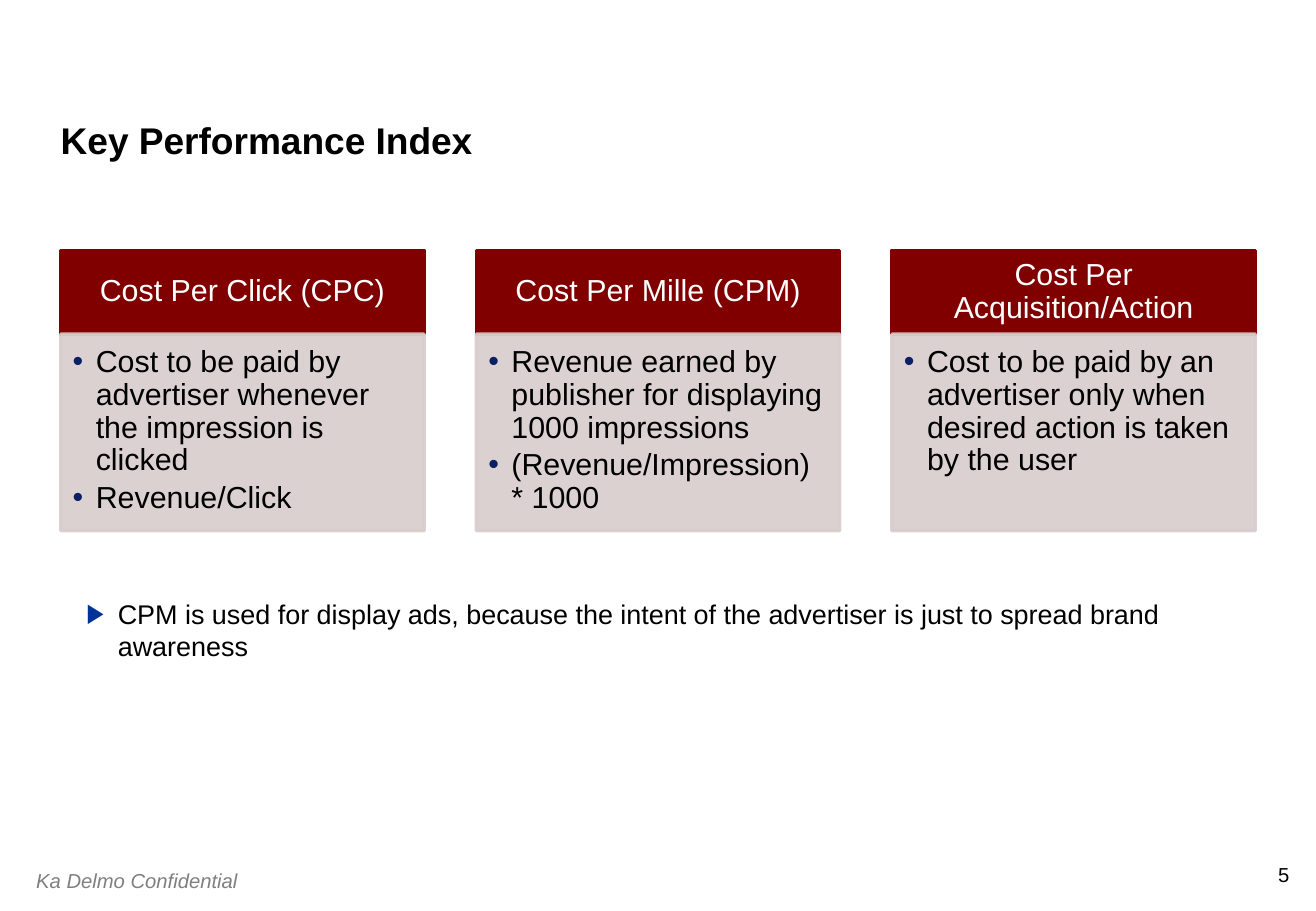
"""Build the Key Performance Index slide."""
from lxml import etree
from pptx import Presentation
from pptx.dml.color import RGBColor
from pptx.enum.shapes import MSO_SHAPE
from pptx.enum.text import MSO_ANCHOR, PP_ALIGN
from pptx.oxml.ns import qn
from pptx.util import Inches, Pt

RECT = MSO_SHAPE.RECTANGLE
TOP, MIDDLE, BOTTOM = MSO_ANCHOR.TOP, MSO_ANCHOR.MIDDLE, MSO_ANCHOR.BOTTOM
LEFT, CENTER, RIGHT = PP_ALIGN.LEFT, PP_ALIGN.CENTER, PP_ALIGN.RIGHT

MAROON, ROSE, NAVY, BLUE = "800000", "D8CCCC", "0B1F65", "003399"
BLACK, WHITE, GRAY = "000000", "FFFFFF", "808080"

CARDS = [
    ("Cost Per Click (CPC)",
     ["Cost to be paid by advertiser whenever the impression is clicked",
      "Revenue/Click"]),
    ("Cost Per Mille (CPM)",
     ["Revenue earned by publisher for displaying 1000 impressions",
      "(Revenue/Impression) * 1000"]),
    ("Cost Per Acquisition/Action",
     ["Cost to be paid by an advertiser only when desired action is taken by the user"]),
]


def rgb(code):
    return RGBColor.from_string(code)


class Deck:
    def __init__(self, slide, font):
        self.slide = slide
        self.font = font

    def fill_text(self, frame, lines, size, color=BLACK, align=LEFT, anchor=TOP,
                  pad=(0, 0, 0, 0), space=1, after=0, bold=False, italic=False,
                  mark=None, wrap=True):
        frame.word_wrap = wrap
        frame.vertical_anchor = anchor
        (frame.margin_left, frame.margin_top,
         frame.margin_right, frame.margin_bottom) = map(Inches, pad)
        for i, line in enumerate(lines):
            para = frame.add_paragraph() if i else frame.paragraphs[0]
            para.alignment = align
            para.line_spacing = space
            para.space_after = Pt(after)
            if mark:
                self.bullet(para, *mark)
            run = para.add_run()
            run.text = line
            font = run.font
            font.name, font.size = self.font, Pt(size)
            font.bold, font.italic = bold, italic
            font.color.rgb = rgb(color)

    def bullet(self, para, char, color, indent):
        props = para._p.get_or_add_pPr()
        props.set("marL", str(Inches(indent)))
        props.set("indent", str(-Inches(indent)))
        tint = etree.SubElement(props, qn("a:buClr"))
        etree.SubElement(tint, qn("a:srgbClr"), val=color)
        etree.SubElement(props, qn("a:buFont"), typeface=self.font)
        etree.SubElement(props, qn("a:buChar"), char=char)

    def text(self, box, lines, size, **style):
        shape = self.slide.shapes.add_textbox(*map(Inches, box))
        self.fill_text(shape.text_frame, lines, size, **style)

    def panel(self, box, fill, lines, size, alpha=100, **style):
        shape = self.slide.shapes.add_shape(RECT, *map(Inches, box))
        shape.shadow.inherit = False
        shape.fill.solid()
        shape.fill.fore_color.rgb = rgb(fill)
        shape.line.color.rgb = rgb(fill)
        shape.line.width = Pt(2)
        if alpha < 100:
            for tint in shape._element.spPr.iter(qn("a:srgbClr")):
                etree.SubElement(tint, qn("a:alpha"), val=str(alpha * 1000))
        self.fill_text(shape.text_frame, lines, size, **style)


def main():
    prs = Presentation()
    prs.slide_width, prs.slide_height = Inches(10.83), Inches(7.5)
    deck = Deck(prs.slides.add_slide(prs.slide_layouts[6]), "Arial")

    deck.text((10.4, 7.1, 0.21, 0.2), ["5"], 12, align=RIGHT, wrap=False)
    deck.text((0.2, 7.1, 2, 0.3), ["Ka Delmo Confidential"], 12, color=GRAY,
              italic=True, pad=(0.1, 0.05, 0.1, 0.05))
    deck.text((0.5, 0.42, 9.83, 0.92), ["Key Performance Index"], 22,
              bold=True, anchor=BOTTOM, space=0.9)
    deck.text((0.71, 4.92, 9.58, 0.34),
              ["CPM is used for display ads, because the intent of the "
               "advertiser is just to spread brand awareness"],
              16, mark=("▶", BLUE, 0.26))

    for i, (head, points) in enumerate(CARDS):
        left = 0.5 + i * 3.42
        deck.panel((left, 2.06, 2.99, 0.69), MAROON, [head], 18, color=WHITE,
                   align=CENTER, anchor=MIDDLE, space=0.9,
                   pad=(0.14, 0.08, 0.14, 0.08))
        deck.panel((left, 2.75, 2.99, 1.62), ROSE, points, 18, alpha=90,
                   space=0.9, after=3, pad=(0.1, 0.1, 0.14, 0.16),
                   mark=("•", NAVY, 0.19))

    prs.save("out.pptx")


if __name__ == "__main__":
    main()
